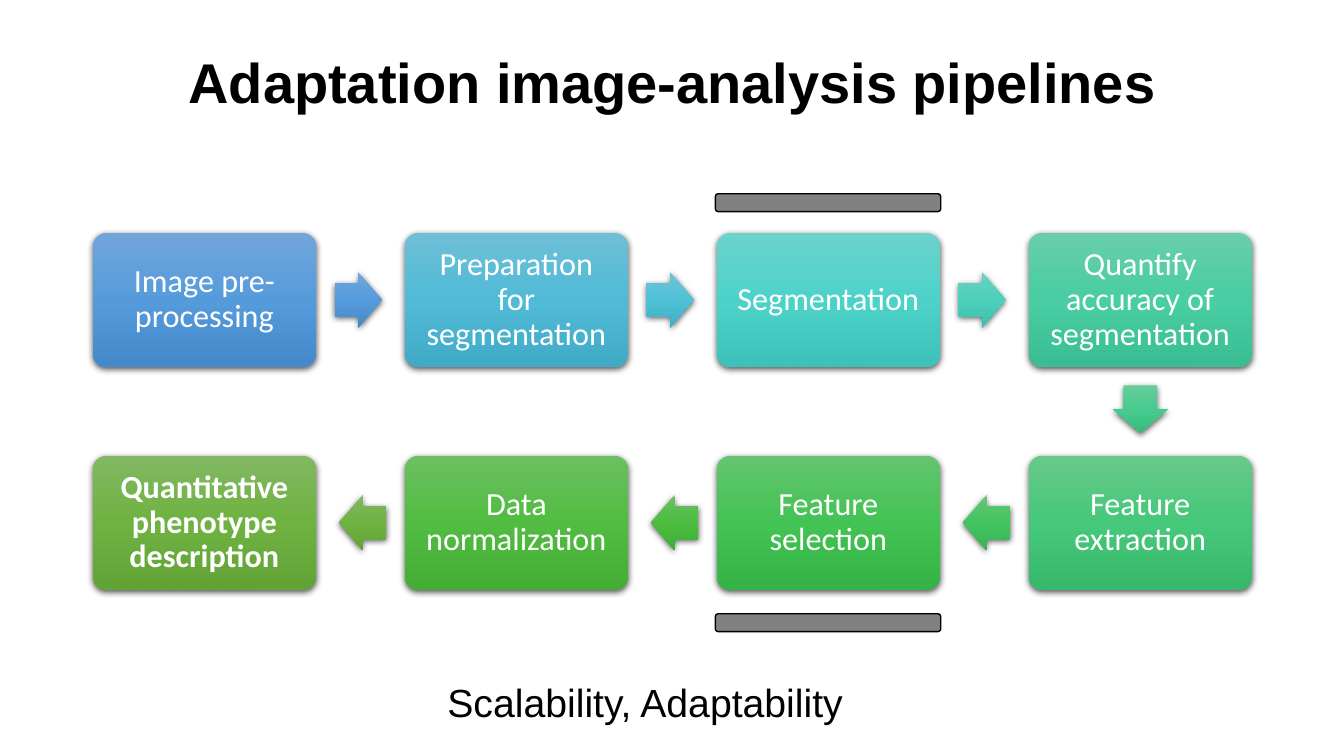
from lxml import etree
from pptx import Presentation
from pptx.dml.color import RGBColor
from pptx.enum.shapes import MSO_SHAPE
from pptx.enum.text import MSO_ANCHOR, PP_ALIGN
from pptx.oxml import parse_xml
from pptx.oxml.ns import qn
from pptx.util import Pt

ROUNDED, ARROW = MSO_SHAPE.ROUNDED_RECTANGLE, MSO_SHAPE.RIGHT_ARROW
MIDDLE, TOP = MSO_ANCHOR.MIDDLE, MSO_ANCHOR.TOP
CENTER, LEFT = PP_ALIGN.CENTER, PP_ALIGN.LEFT
NS = "http://schemas.openxmlformats.org/drawingml/2006/main"

TITLE = "Adaptation image-analysis pipelines"
FOOTER = "Scalability, Adaptability"
# Step text, gradient of its box, gradient of the arrow to the next step
STEPS = [
    ("Image pre-processing", "71A6DB 559BDB 448ACA", "71A6DB 559BDB 448ACA"),
    ("Preparation for segmentation", "6EBFD7 51BBD7 41AAC6", "6EC4D6 50C0D6 40AFC5"),
    ("Segmentation", "6BD2CC 4DD2CA 3DC1B9", "6AD1C0 4CD0BC 3CC0AC"),
    ("Quantify accuracy of segmentation", "68CEAA 49CDA2 3ABD92", "67CC9A 47CB8E 39BB7F"),
    ("Feature extraction", "66C98A 46C87A 37B86B", "64C677 44C460 36B552"),
    ("Feature selection", "64C46F 43C354 35B346", "69C062 4CBD41 3FAD34"),
    ("Data normalization", "6CBF62 51BC41 45AC35", "81B861 6FB242 62A336"),
    ("Quantitative phenotype description", "81B861 6FB242 62A336", None),
]
COLORS = {"text": "000000", "step": "FFFFFF", "bar": "808080", "line": "000000"}

COLUMNS = 4
GRID_X, GRID_Y = 66.4, 166.4
PITCH_X, PITCH_Y = 222.8, 159.2
BOX_W, BOX_H = 159.4, 95.6
ARROW_W, ARROW_H = 33.8, 39.5
ARROW_SHIFT = 1.6  # arrows sit slightly towards their tail
BAR_X, BAR_W, BAR_H = 511, 161, 12.8
BAR_TOPS = [138.4, 438.4]


def add_shape(slide, kind, x, y, w, h):
    s = slide.shapes.add_shape(kind, Pt(x), Pt(y), Pt(w), Pt(h))
    s.shadow.inherit = False
    s.line.fill.background()
    return s


def apply_gradient(s, colors):
    """Give the shape a vertical gradient and a soft shadow below it."""
    stops = "".join(
        f'<a:gs pos="{i * 50000}"><a:srgbClr val="{c}"/></a:gs>'
        for i, c in enumerate(colors.split())
    )
    sp_pr = s._element.spPr
    sp_pr.find(qn("a:prstGeom")).addnext(parse_xml(
        f'<a:gradFill xmlns:a="{NS}" rotWithShape="0"><a:gsLst>{stops}</a:gsLst>'
        '<a:lin ang="5400000" scaled="0"/></a:gradFill>'
    ))
    shadow = etree.SubElement(
        sp_pr.find(qn("a:effectLst")), qn("a:outerShdw"),
        blurRad=str(Pt(4.5)), dist=str(Pt(1.5)), dir="5400000", rotWithShape="0",
    )
    color = etree.SubElement(shadow, qn("a:srgbClr"), val="000000")
    etree.SubElement(color, qn("a:alpha"), val="63000")


def write_text(s, text, size, font="Arial", color="text", bold=False,
               align=CENTER, anchor=MIDDLE, spacing=0.9, margin=7.2, wrap=True):
    tf = s.text_frame
    tf.word_wrap = wrap
    tf.vertical_anchor = anchor
    tf.margin_left = tf.margin_right = Pt(margin)
    tf.margin_top = tf.margin_bottom = Pt(3.6)
    p = tf.paragraphs[0]
    p.alignment = align
    p.line_spacing = spacing
    r = p.add_run()
    r.text = text
    r.font.name, r.font.size, r.font.bold = font, Pt(size), bold
    r.font.color.rgb = RGBColor.from_string(COLORS[color])


def box_position(i):
    """Left and top of a step; the second row runs from right to left."""
    row, col = divmod(i, COLUMNS)
    if row % 2:
        col = COLUMNS - 1 - col
    return GRID_X + col * PITCH_X, GRID_Y + row * PITCH_Y


def add_arrow(slide, i, colors):
    """Draw the arrow halfway between step i and the next one."""
    (x1, y1), (x2, y2) = box_position(i), box_position(i + 1)
    center_x, center_y = (x1 + x2 + BOX_W) / 2, (y1 + y2 + BOX_H) / 2
    if y2 > y1:
        rotation = 90
        center_y -= ARROW_SHIFT
    else:
        rotation = 0 if x2 > x1 else 180
        center_x += -ARROW_SHIFT if x2 > x1 else ARROW_SHIFT
    s = add_shape(slide, ARROW, center_x - ARROW_W / 2, center_y - ARROW_H / 2,
                  ARROW_W, ARROW_H)
    s.adjustments[0], s.adjustments[1] = 0.6, 0.5
    s.rotation = rotation
    apply_gradient(s, colors)


def main():
    prs = Presentation()
    prs.slide_width, prs.slide_height = Pt(960), Pt(540)
    slide = prs.slides.add_slide(prs.slide_layouts[6])

    for i, (text, box_colors, arrow_colors) in enumerate(STEPS):
        s = add_shape(slide, ROUNDED, *box_position(i), BOX_W, BOX_H)
        s.adjustments[0] = 0.1
        apply_gradient(s, box_colors)
        write_text(s, text, 23, font="Calibri", color="step",
                   bold=i == len(STEPS) - 1, margin=9)
        if arrow_colors:
            add_arrow(slide, i, arrow_colors)

    title = slide.shapes.add_textbox(0, 0, Pt(960), Pt(121.6))
    write_text(title, TITLE, 40, bold=True)

    for top in BAR_TOPS:
        bar = add_shape(slide, ROUNDED, BAR_X, top, BAR_W, BAR_H)
        bar.fill.solid()
        bar.fill.fore_color.rgb = RGBColor.from_string(COLORS["bar"])
        bar.line.color.rgb = RGBColor.from_string(COLORS["line"])
        bar.line.width = Pt(1)

    footer = slide.shapes.add_textbox(Pt(312.5), Pt(481), Pt(300), Pt(41))
    write_text(footer, FOOTER, 28, align=LEFT, anchor=TOP, spacing=1.0, wrap=False)

    prs.save("out.pptx")


if __name__ == "__main__":
    main()
